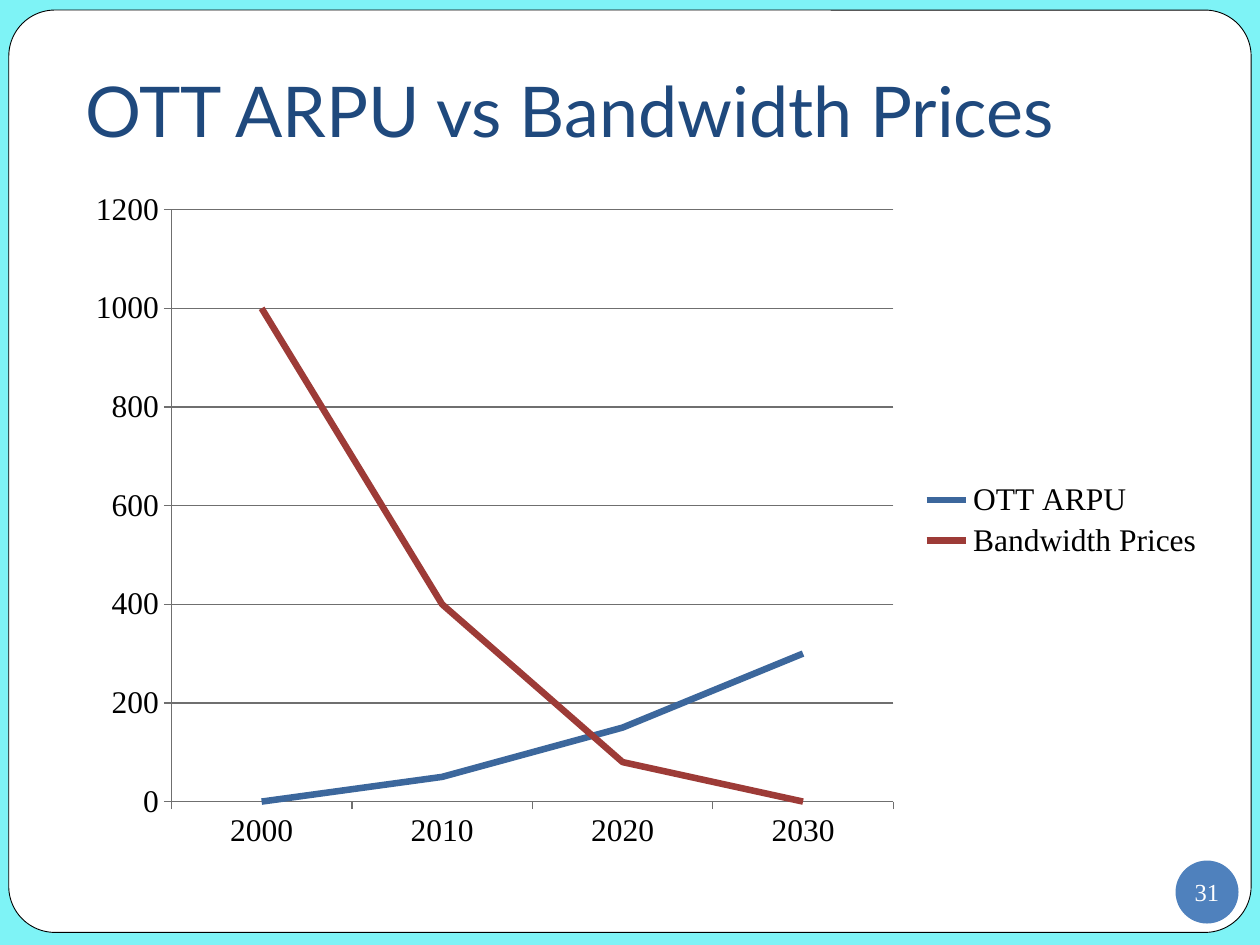
from pptx import Presentation
from pptx.chart.data import CategoryChartData
from pptx.dml.color import RGBColor
from pptx.enum.chart import XL_CHART_TYPE, XL_LEGEND_POSITION, XL_MARKER_STYLE, XL_TICK_MARK
from pptx.enum.shapes import MSO_SHAPE
from pptx.enum.text import MSO_ANCHOR, MSO_AUTO_SIZE, PP_ALIGN
from pptx.util import Inches, Pt

# Content
TITLE = "OTT ARPU vs Bandwidth Prices"
PAGE = "31"
YEARS = ["2000", "2010", "2020", "2030"]
SERIES = [
    ("OTT ARPU", (0, 50, 150, 300), "3C679C"),
    ("Bandwidth Prices", (1000, 400, 80, 0), "9D3B37"),
]
SERIF = "Times New Roman"


def rgb(value):
    return RGBColor.from_string(value)


def set_font(font, name, size, color):
    font.name, font.size = name, Pt(size)
    font.color.rgb = rgb(color)


def set_margins(tf, left, top, right, bottom):
    tf.margin_left, tf.margin_top = Inches(left), Inches(top)
    tf.margin_right, tf.margin_bottom = Inches(right), Inches(bottom)


def add_shape(s, kind, box, fill, line=None):
    sp = s.shapes.add_shape(kind, *map(Inches, box))
    sp.shadow.inherit = False
    sp.fill.solid()
    sp.fill.fore_color.rgb = rgb(fill)
    if line:
        sp.line.color.rgb = rgb(line)
        sp.line.width = Pt(0.5)
    else:
        sp.line.fill.background()
    return sp


prs = Presentation()
prs.slide_width, prs.slide_height = Inches(10), Inches(7.5)
s = prs.slides.add_slide(prs.slide_layouts[5])
title = s.shapes.title

# Coloured border and rounded white panel, placed behind the title
border = add_shape(s, MSO_SHAPE.RECTANGLE, (0, 0, 10, 7.5), "7EF3F6")
panel = add_shape(s, MSO_SHAPE.ROUNDED_RECTANGLE, (0.07, 0.08, 9.86, 7.32), "FFFFFF", "000000")
panel.adjustments[0] = 0.05
for sp in (border, panel):
    title.element.addprevious(sp.element)

# Title
title.left, title.top, title.width, title.height = map(Inches, (0.58, 0.42, 9.08, 0.88))
tf = title.text_frame
tf.text = TITLE
tf.word_wrap = True
tf.auto_size = MSO_AUTO_SIZE.NONE
tf.vertical_anchor = MSO_ANCHOR.BOTTOM
set_margins(tf, 0.1, 0.05, 0.1, 0.1)
p = tf.paragraphs[0]
p.alignment = PP_ALIGN.LEFT
set_font(p.runs[0].font, "Lato", 40, "1F497D")

# Page number badge
badge = add_shape(s, MSO_SHAPE.OVAL, (9.33, 6.83, 0.5, 0.5), "4F81BD")
tf = badge.text_frame
tf.text = PAGE
tf.word_wrap = False
tf.vertical_anchor = MSO_ANCHOR.MIDDLE
set_margins(tf, 0, 0, 0, 0)
p = tf.paragraphs[0]
p.alignment = PP_ALIGN.CENTER
set_font(p.runs[0].font, SERIF, 14, "FFFFFF")

# Line chart
data = CategoryChartData()
data.categories = YEARS
for name, values, _ in SERIES:
    data.add_series(name, values)
chart = s.shapes.add_chart(
    XL_CHART_TYPE.LINE, *map(Inches, (0.58, 1.42, 9.08, 5.42)), data).chart
set_font(chart.font, SERIF, 18, "000000")
chart.has_title = False
chart.has_legend = True
chart.legend.position = XL_LEGEND_POSITION.RIGHT
chart.legend.include_in_layout = False

plot = chart.plots[0]
plot.vary_by_categories = False
for series, (_, _, color) in zip(plot.series, SERIES):
    series.smooth = False
    series.marker.style = XL_MARKER_STYLE.NONE
    series.format.line.color.rgb = rgb(color)
    series.format.line.width = Pt(3.75)

# Axes and gridlines
value_axis = chart.value_axis
value_axis.minimum_scale, value_axis.maximum_scale = 0, 1200
value_axis.major_unit = 200
value_axis.has_major_gridlines = True
for axis in (chart.category_axis, value_axis):
    axis.major_tick_mark = XL_TICK_MARK.OUTSIDE
    axis.minor_tick_mark = XL_TICK_MARK.NONE
for part in (chart.category_axis, value_axis, value_axis.major_gridlines):
    part.format.line.color.rgb = rgb("6F6F6F")
    part.format.line.width = Pt(0.75)

prs.save("out.pptx")
